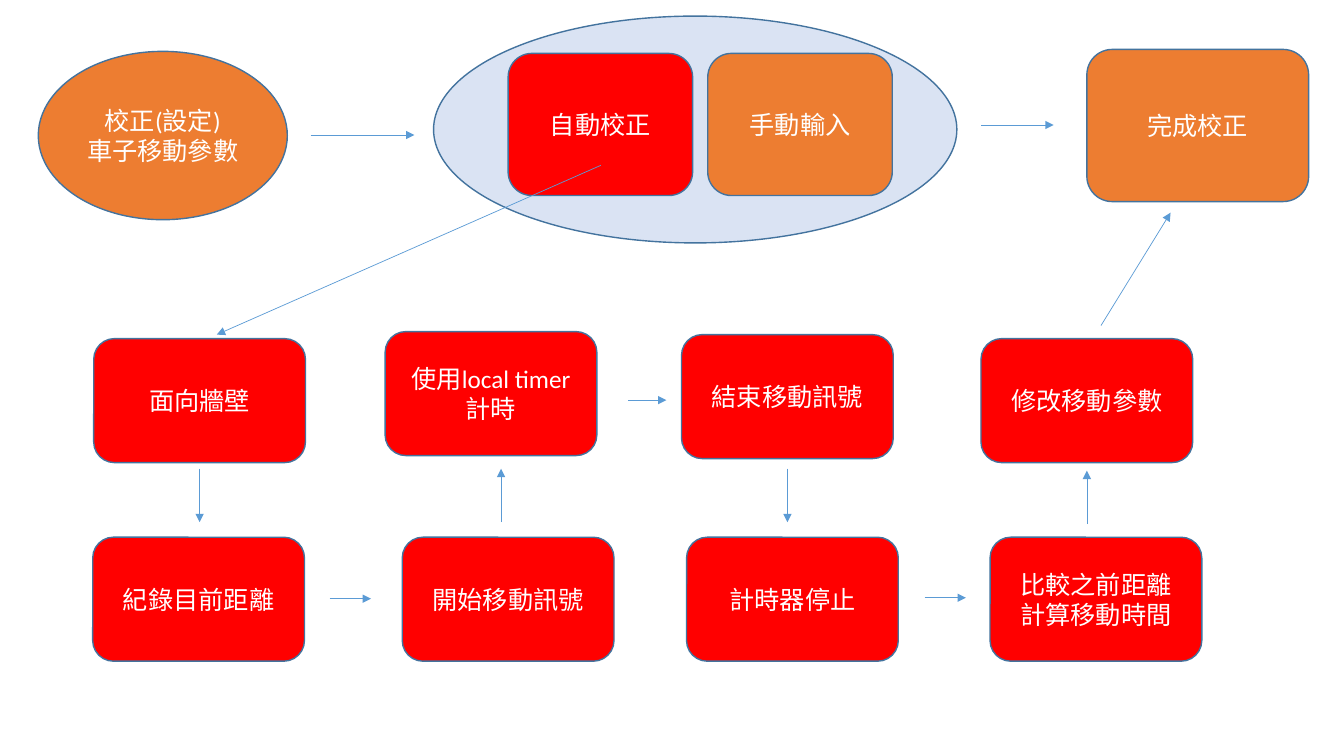
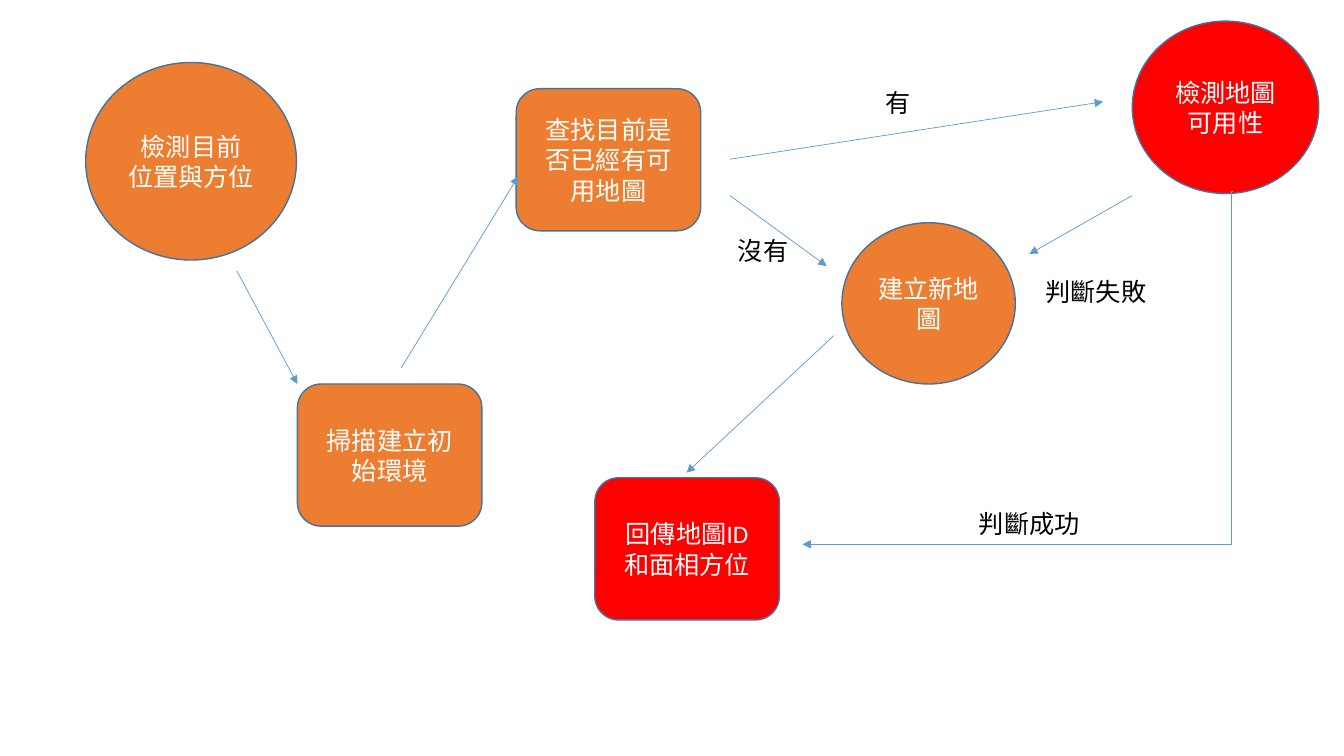
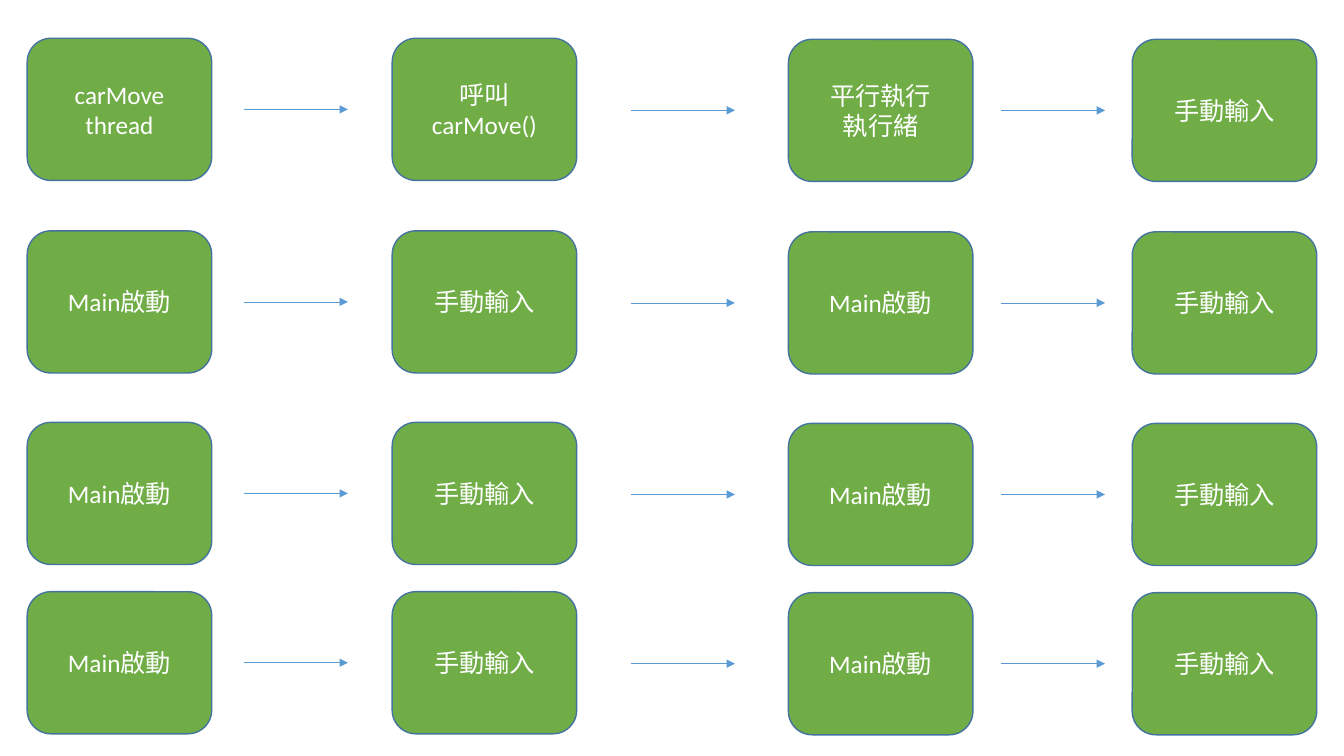
from lxml import etree
from pptx import Presentation
from pptx.dml.color import RGBColor
from pptx.enum.shapes import MSO_CONNECTOR, MSO_SHAPE
from pptx.enum.text import MSO_ANCHOR, MSO_AUTO_SIZE, PP_ALIGN
from pptx.oxml.ns import qn
from pptx.util import Inches, Pt

OVAL, ROUND = MSO_SHAPE.OVAL, MSO_SHAPE.ROUNDED_RECTANGLE
STRAIGHT, ELBOW = MSO_CONNECTOR.STRAIGHT, MSO_CONNECTOR.ELBOW
CENTER, MIDDLE = PP_ALIGN.CENTER, MSO_ANCHOR.MIDDLE
FIT = MSO_AUTO_SIZE.SHAPE_TO_FIT_TEXT

# Shared look
ORANGE = RGBColor(0xED, 0x7D, 0x31)
RED = RGBColor(0xFF, 0x00, 0x00)
GREEN = RGBColor(0x70, 0xAD, 0x47)
PALE = RGBColor(0xDA, 0xE3, 0xF3)
OUTLINE = RGBColor(0x43, 0x73, 0x9E)
ARROW = RGBColor(0x5B, 0x9B, 0xD5)
WHITE = RGBColor(0xFF, 0xFF, 0xFF)
BLACK = RGBColor(0x00, 0x00, 0x00)
FONT, SIZE = "Calibri", Pt(18)
BOX = (1.83, 1.41)   # standard box, width and height
STEP = (2.1, 1.23)   # smaller box of the calibration steps

prs = Presentation()
prs.slide_width, prs.slide_height = Inches(13.33), Inches(7.5)
blank = prs.slide_layouts[6]


def add_text(s, text, pos, size=BOX, kind=ROUND, fill=None, color=WHITE):
    """Filled shape with centred text, or a plain label when fill is None.
    A \\n starts a paragraph, a \\v breaks a line."""
    at = [Inches(v) for v in (*pos, *size)]
    if fill is None:
        sp = s.shapes.add_textbox(*at)
    else:
        sp = s.shapes.add_shape(kind, *at)
        sp.shadow.inherit = False
        sp.fill.solid()
        sp.fill.fore_color.rgb = fill
        sp.line.color.rgb = OUTLINE
        sp.line.width = Pt(1)
    tf = sp.text_frame
    tf.word_wrap = fill is not None
    if fill is None:
        tf.auto_size = FIT
    else:
        tf.vertical_anchor = MIDDLE
    tf.text = text
    for p in tf.paragraphs:
        if fill is not None:
            p.alignment = CENTER
        for r in p.runs:
            r.font.name, r.font.size = FONT, SIZE
            r.font.color.rgb = color


def add_arrow(s, x1, y1, x2, y2, kind=STRAIGHT):
    c = s.shapes.add_connector(kind, *[Inches(v) for v in (x1, y1, x2, y2)])
    c.line.color.rgb = ARROW
    c.line.width = Pt(0.5)
    ln = c._element.spPr.find(qn("a:ln"))
    etree.SubElement(ln, qn("a:tailEnd"), type="triangle")
    etree.SubElement(c._element.spPr, qn("a:effectLst"))
    return c


# Slide 1: calibration flow
s = prs.slides.add_slide(blank)
add_text(s, "校正(設定)\v車子移動參數", (0.38, 0.51), (2.47, 1.67), OVAL, ORANGE)
add_text(s, "", (4.3, 0.16), (5.19, 2.25), OVAL, PALE)
add_text(s, "自動校正", (5.04, 0.53), fill=RED)
add_text(s, "手動輸入", (7.02, 0.53), fill=ORANGE)
add_text(s, "完成校正", (10.78, 0.49), (2.2, 1.51), fill=ORANGE)

# Steps, upper row then lower row
UPPER, LOWER = 3.36, 5.33
for text, x, y in [
    ("面向牆壁", 0.93, UPPER),
    ("使用local timer\v計時", 3.82, 3.29),
    ("結束移動訊號", 6.76, 3.32),
    ("修改移動參數", 9.73, UPPER),
    ("紀錄目前距離", 0.92, LOWER),
    ("開始移動訊號", 3.99, LOWER),
    ("計時器停止", 6.81, LOWER),
    ("比較之前距離\v計算移動時間", 9.82, LOWER),
]:
    add_text(s, text, (x, y), STEP, fill=RED)

# Arrows between the rows, then along and into them
GAP_TOP, GAP_BOTTOM = 4.65, 5.18
for x in (1.98, 7.81):
    add_arrow(s, x, GAP_TOP, x, GAP_BOTTOM)
for x, shift in [(4.97, 0), (10.78, 0.02)]:
    add_arrow(s, x, GAP_BOTTOM + shift, x, GAP_TOP + shift)
for x1, x2, y in [(3.27, 3.68, 5.94), (6.23, 6.61, 3.97), (9.17, 9.58, 5.93),
                  (3.08, 4.11, 1.34), (9.73, 10.45, 1.24)]:
    add_arrow(s, x1, y, x2, y)
add_arrow(s, 5.96, 1.64, 2.15, 3.32)
add_arrow(s, 10.92, 3.23, 11.61, 2.11)

# Slide 2: map lookup flow
s = prs.slides.add_slide(blank)
for text, pos, size, fill in [
    ("檢測目前\v位置與方位", (0.85, 0.62), (2.09, 1.96), ORANGE),
    ("建立新地圖", (8.35, 2.21), (1.72, 1.6), ORANGE),
    ("檢測地圖可用性", (11.23, 0.21), (1.85, 1.71), RED),
]:
    add_text(s, text, pos, size, OVAL, fill)
for text, pos, fill in [
    ("查找目前是否已經有可用地圖", (5.12, 0.88), ORANGE),
    ("掃描建立初始環境", (2.95, 3.81), ORANGE),
    ("回傳地圖ID\n和面相方位", (5.9, 4.74), RED),
]:
    add_text(s, text, pos, fill=fill)
for text, pos, width in [
    ("有", (8.68, 0.82), 0.45),
    ("沒有", (7.22, 2.29), 0.71),
    ("判斷失敗", (10.27, 2.69), 1.21),
    ("判斷成功", (9.61, 4.99), 1.21),
]:
    add_text(s, text, pos, (width, 0.4), color=BLACK)
for ends in [
    (2.35, 2.69, 2.95, 3.81),
    (3.98, 3.65, 5.14, 1.75),
    (7.24, 1.58, 10.94, 1.01),
    (7.24, 1.94, 8.2, 2.64),
    (11.23, 1.94, 10.21, 2.52),
    (8.27, 3.33, 6.81, 4.69),
]:
    add_arrow(s, *ends)

# Success path: straight down, then left
c = add_arrow(s, 12.22, 1.9, 7.96, 5.4, ELBOW)
bend = c._element.spPr.find(qn("a:prstGeom")).find(qn("a:avLst"))
etree.SubElement(bend, qn("a:gd"), name="adj1", fmla="val 100")

# Slide 3: thread grid, right half set slightly lower
s = prs.slides.add_slide(blank)
COLUMNS = [(0.27, 0), (3.89, 0), (7.82, 0.01), (11.23, 0.01)]
ARROWS = [(2.42, 0), (6.26, 0.01), (9.93, 0.01)]
ARROW_LENGTH = 1.03
START = ["Main啟動", "手動輸入"] * 2
ROWS = [
    (0.38, ["carMove thread", "呼叫\vcarMove()", "平行執行\v執行緒", "手動輸入"]),
    (2.29, START),
    (4.19, START),
    (5.87, START),
]
for top, texts in ROWS:
    for text, (x, drop) in zip(texts, COLUMNS):
        add_text(s, text, (x, top + drop), fill=GREEN)
    for x, drop in ARROWS:
        y = top + drop + BOX[1] / 2
        add_arrow(s, x, y, x + ARROW_LENGTH, y)

prs.save("out.pptx")
